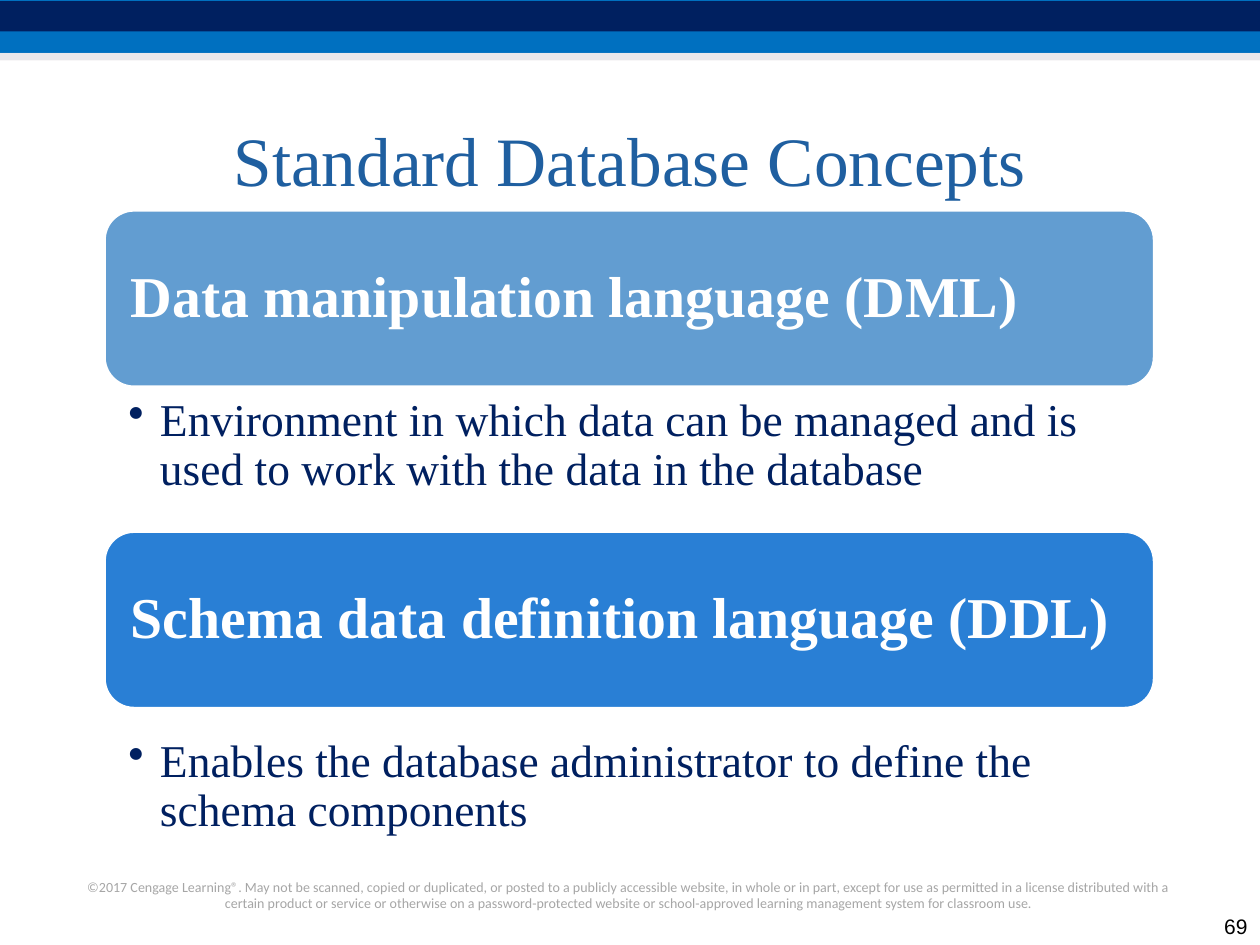
from dataclasses import dataclass

from lxml import etree
from pptx import Presentation
from pptx.dml.color import RGBColor
from pptx.enum import shapes, text
from pptx.oxml import ns
from pptx.util import Inches, Pt


@dataclass(frozen=True)
class Theme:
    serif: str = "Times New Roman"
    sans: str = "Arial"
    legal: str = "Calibri"
    navy: str = "002060"
    blue: str = "0070C0"
    mist: str = "D8D3D9"
    title: str = "1F5FA0"
    dml: str = "629DD1"
    ddl: str = "297FD5"
    white: str = "FFFFFF"
    black: str = "000000"
    grey: str = "A6A6A6"
    title_size: float = 39.6
    term_size: float = 33
    body_size: float = 26
    number_size: float = 12
    legal_size: float = 8


@dataclass(frozen=True)
class Band:
    top: float
    height: float
    color: str
    opacity: int = 100


@dataclass(frozen=True)
class Concept:
    term: str
    meaning: str
    color: str
    top: float
    meaning_top: float
    meaning_height: float


THEME = Theme()
BANDS = [
    Band(0, 0.42, THEME.blue),
    Band(0.01, 0.24, THEME.navy),
    Band(0.42, 0.06, THEME.mist, opacity=50),
]
CONCEPTS = [
    Concept("Data manipulation language (DML)",
            "Environment in which data can be managed and is used to work "
            "with the data in the database",
            THEME.dml, 1.67, 3.1, 1.41),
    Concept("Schema data definition language (DDL)",
            "Enables the database administrator to define the schema components",
            THEME.ddl, 4.22, 5.81, 0.97),
]
COPYRIGHT = (
    "©2017 Cengage Learning®. May not be scanned, copied or duplicated, or posted "
    "to a publicly accessible website, in whole or in part, except for use as "
    "permitted in a license distributed with a certain product or service or "
    "otherwise on a password-protected website or school-approved learning "
    "management system for classroom use."
)


def add_bullet(paragraph, indent: float) -> None:
    properties = paragraph._p.get_or_add_pPr()
    properties.set("marL", str(Inches(indent)))
    properties.set("indent", str(-Inches(indent)))
    etree.SubElement(properties, ns.qn("a:buChar")).set("char", "•")


def write(shape, words: str, *, size: float, color: str, font: str = THEME.serif,
          bold: bool = False, align=text.PP_ALIGN.LEFT, anchor=text.MSO_ANCHOR.TOP,
          insets: tuple = (0.1, 0.05, 0.1, 0.05), line_spacing: float = 1.0,
          bullet_indent: float = 0) -> None:
    frame = shape.text_frame
    frame.word_wrap = True
    frame.vertical_anchor = anchor
    (frame.margin_left, frame.margin_top,
     frame.margin_right, frame.margin_bottom) = map(Inches, insets)
    paragraph = frame.paragraphs[0]
    paragraph.alignment = align
    paragraph.line_spacing = line_spacing
    if bullet_indent:
        add_bullet(paragraph, bullet_indent)
    run = paragraph.add_run()
    run.text = words
    run.font.name = font
    run.font.size = Pt(size)
    run.font.bold = bold
    run.font.color.rgb = RGBColor.from_string(color)


def add_box(slide, left: float, top: float, width: float, height: float):
    return slide.shapes.add_textbox(*map(Inches, (left, top, width, height)))


def add_filled(slide, kind, left: float, top: float, width: float, height: float,
               color: str):
    shape = slide.shapes.add_shape(kind, *map(Inches, (left, top, width, height)))
    shape.shadow.inherit = False
    shape.fill.solid()
    shape.fill.fore_color.rgb = RGBColor.from_string(color)
    shape.line.fill.background()
    return shape


def draw_band(slide, band: Band) -> None:
    strip = add_filled(slide, shapes.MSO_SHAPE.RECTANGLE,
                       0, band.top, 10, band.height, band.color)
    if band.opacity < 100:
        tint = strip._element.spPr.find(".//" + ns.qn("a:srgbClr"))
        etree.SubElement(tint, ns.qn("a:alpha")).set("val", str(band.opacity * 1000))


def draw_concept(slide, concept: Concept) -> None:
    panel = add_filled(slide, shapes.MSO_SHAPE.ROUNDED_RECTANGLE,
                       0.83, concept.top, 8.33, 1.4, concept.color)
    panel.line.color.rgb = RGBColor.from_string(THEME.white)
    panel.line.width = Pt(1.5)
    write(panel, concept.term, size=THEME.term_size, color=THEME.white, bold=True,
          anchor=text.MSO_ANCHOR.MIDDLE, insets=(0.14, 0.14, 0.14, 0.14),
          line_spacing=0.9)
    meaning = add_box(slide, 0.75, concept.meaning_top, 8.5, concept.meaning_height)
    write(meaning, concept.meaning, size=THEME.body_size, color=THEME.navy,
          insets=(0.27, 0.05, 0.26, 0.05), line_spacing=0.9, bullet_indent=0.25)


def main() -> None:
    deck = Presentation()
    deck.slide_width, deck.slide_height = Inches(10), Inches(7.5)
    slide = deck.slides.add_slide(deck.slide_layouts[6])
    for band in BANDS:
        draw_band(slide, band)
    write(add_box(slide, 0.58, 6.92, 8.83, 0.37), COPYRIGHT, size=THEME.legal_size,
          color=THEME.grey, font=THEME.legal, align=text.PP_ALIGN.CENTER)
    write(add_box(slide, 0.5, 0.5, 9, 1.14), "Standard Database Concepts",
          size=THEME.title_size, color=THEME.title, align=text.PP_ALIGN.CENTER,
          anchor=text.MSO_ANCHOR.BOTTOM)
    for concept in CONCEPTS:
        draw_concept(slide, concept)
    write(add_box(slide, 9.5, 7.17, 0.5, 0.33), "69", size=THEME.number_size,
          color=THEME.black, font=THEME.sans, align=text.PP_ALIGN.RIGHT,
          anchor=text.MSO_ANCHOR.BOTTOM)
    deck.save("out.pptx")


if __name__ == "__main__":
    main()
